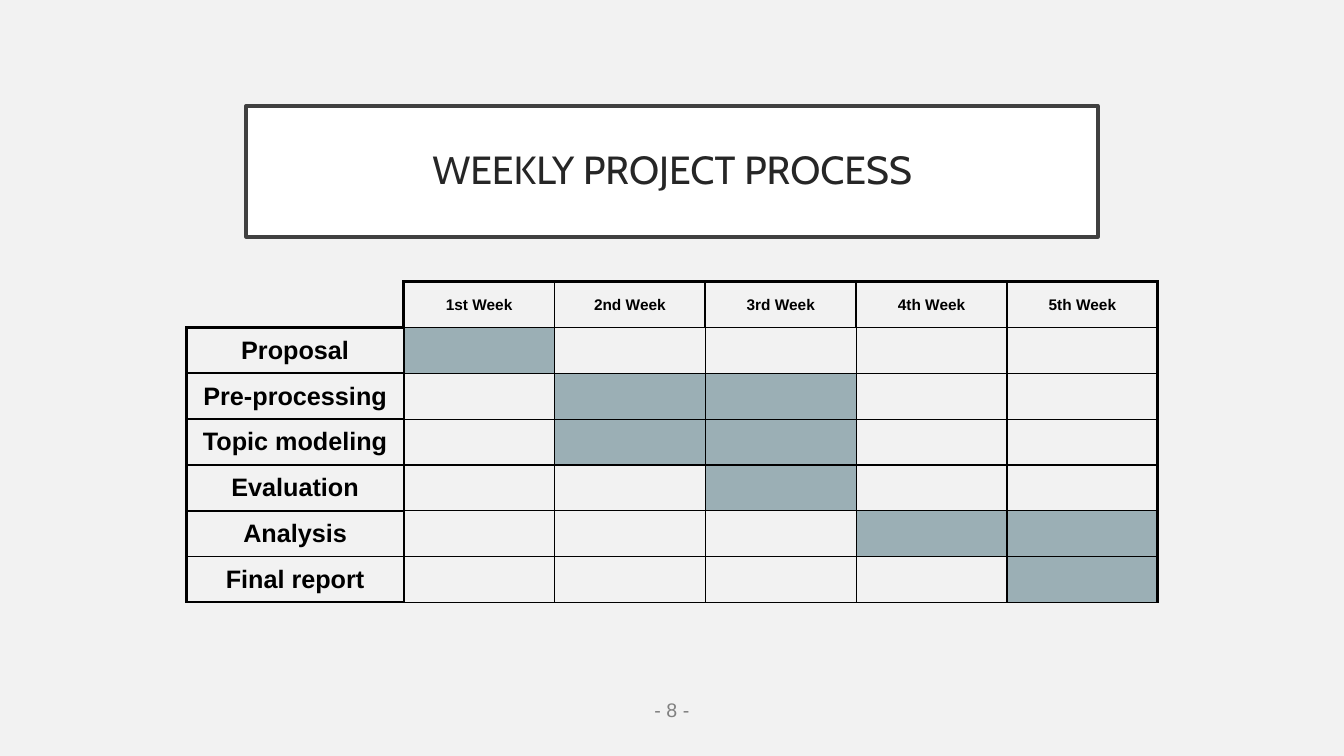
from lxml.etree import SubElement
from pptx import Presentation
from pptx.dml.color import RGBColor
from pptx.enum.text import MSO_ANCHOR as Anchor, MSO_AUTO_SIZE as AutoSize, PP_ALIGN as Align
from pptx.oxml.ns import qn
from pptx.util import Cm, Pt

COLORS = {
    "paper": "F2F2F2",
    "panel": "FFFFFF",
    "frame": "404040",
    "title": "262626",
    "ink": "000000",
    "active": "9BAFB5",
    "page": "808080",
}
WEEKS = ["1st Week", "2nd Week", "3rd Week", "4th Week", "5th Week"]
TASKS = {
    "Proposal": {1},
    "Pre-processing": {2, 3},
    "Topic modeling": {2, 3},
    "Evaluation": {3},
    "Analysis": {4, 5},
    "Final report": {5},
}
OUTER, HEADER, INNER = 2.25, 1.5, 1


def color(name):
    return RGBColor.from_string(COLORS[name])


def paint(fill, name):
    fill.solid()
    fill.fore_color.rgb = color(name)


def write(frame, text, size, ink="ink", font="Arial", bold=False, spacing=1.0):
    paragraph = frame.paragraphs[0]
    paragraph.alignment = Align.CENTER
    paragraph.line_spacing = spacing
    run = paragraph.add_run()
    run.text = text
    run.font.name = font
    run.font.size = Pt(size)
    run.font.bold = bold
    run.font.color.rgb = color(ink)


def edge_width(boundary, lane):
    """Width in points of a grid line; lane 0 is the header row or column."""
    if boundary == 0:
        return OUTER if lane else 0
    if boundary == 1:
        return HEADER if lane else OUTER
    return INNER if lane else HEADER


def draw_border(cell, side, width):
    line = SubElement(cell._tc.get_or_add_tcPr(), qn(f"a:ln{side}"), w=str(Pt(width)))
    if width:
        fill = SubElement(line, qn("a:solidFill"))
        SubElement(fill, qn("a:srgbClr"), val=COLORS["ink"])
    else:
        SubElement(line, qn("a:noFill"))


class ScheduleSlide:
    def __init__(self, deck):
        self.font = "Arial"
        self.title_font = "Cabin"
        self.slide = deck.slides.add_slide(deck.slide_layouts[5])
        paint(self.slide.background.fill, "paper")

    def title(self, text, left, top, width, height):
        title = self.slide.shapes.title
        title.left, title.top, title.width, title.height = left, top, width, height
        paint(title.fill, "panel")
        title.line.color.rgb = color("frame")
        title.line.width = Pt(2.5)
        frame = title.text_frame
        frame.auto_size = AutoSize.NONE
        frame.vertical_anchor = Anchor.MIDDLE
        frame.margin_left = frame.margin_right = Cm(0.51)
        frame.margin_top = frame.margin_bottom = Cm(0.51)
        write(frame, text, 28, ink="title", font=self.title_font, spacing=0.9)

    def schedule(self, weeks, tasks, left, top, task_width, week_width, height):
        rows, columns = len(tasks) + 1, len(weeks) + 1
        width = task_width + week_width * len(weeks)
        table = self.slide.shapes.add_table(rows, columns, left, top, width, height).table
        table.first_row = table.horz_banding = False
        for row in table.rows:
            row.height = height // rows
        for index, column in enumerate(table.columns):
            column.width = week_width if index else task_width

        for r in range(rows):
            for c in range(columns):
                cell = table.cell(r, c)
                right = OUTER if c == columns - 1 else edge_width(c + 1, r)
                draw_border(cell, "L", edge_width(c, r))
                draw_border(cell, "R", right)
                draw_border(cell, "T", edge_width(r, c))
                draw_border(cell, "B", edge_width(r + 1, c))
                paint(cell.fill, "paper")

        table.cell(0, 0).fill.background()
        for c, week in enumerate(weeks, 1):
            self.label(table.cell(0, c), week, 11)
        for r, (task, active_weeks) in enumerate(tasks.items(), 1):
            self.label(table.cell(r, 0), task, 18)
            for week in active_weeks:
                paint(table.cell(r, week).fill, "active")

    def label(self, cell, text, size):
        cell.vertical_anchor = Anchor.MIDDLE
        cell.margin_left = cell.margin_right = Cm(0.08)
        cell.margin_top = cell.margin_bottom = Cm(0.08)
        write(cell.text_frame, text, size, font=self.font, bold=True)

    def page_number(self, text, left, top, width, height):
        frame = self.slide.shapes.add_textbox(left, top, width, height).text_frame
        frame.word_wrap = False
        frame.auto_size = AutoSize.SHAPE_TO_FIT_TEXT
        write(frame, text, 14, ink="page", font=self.font)


def main():
    deck = Presentation()
    deck.slide_width, deck.slide_height = Cm(33.86), Cm(19.05)
    page = ScheduleSlide(deck)
    page.title("WEEKLY PROJECT PROCESS", Cm(6.2), Cm(2.67), Cm(21.46), Cm(3.3))
    page.schedule(WEEKS, TASKS, Cm(4.7), Cm(7.1), Cm(5.47), Cm(3.8), Cm(8.08))
    page.page_number("- 8 -", Cm(16.23), Cm(17.45), Cm(1.4), Cm(0.86))
    deck.save("out.pptx")


if __name__ == "__main__":
    main()
